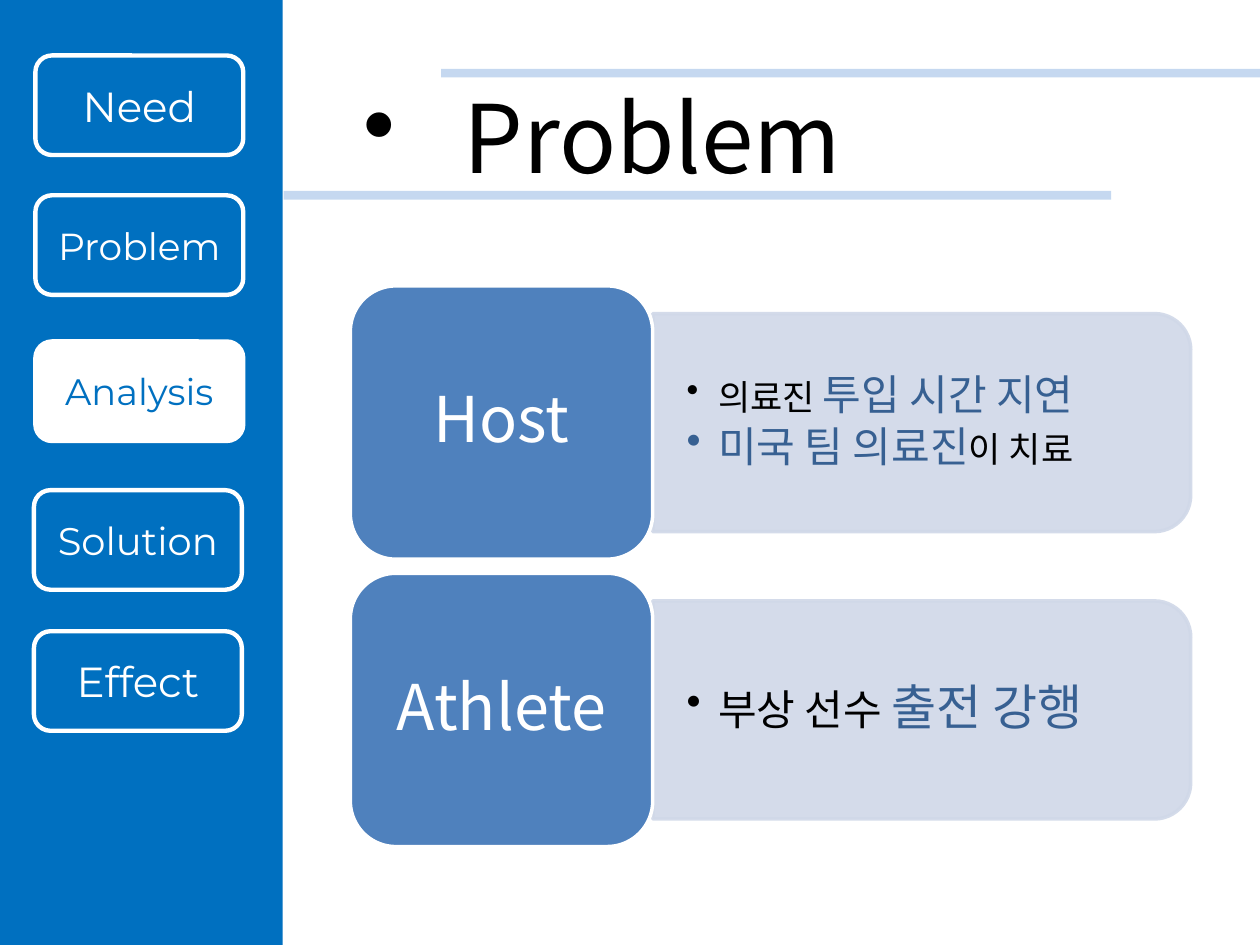
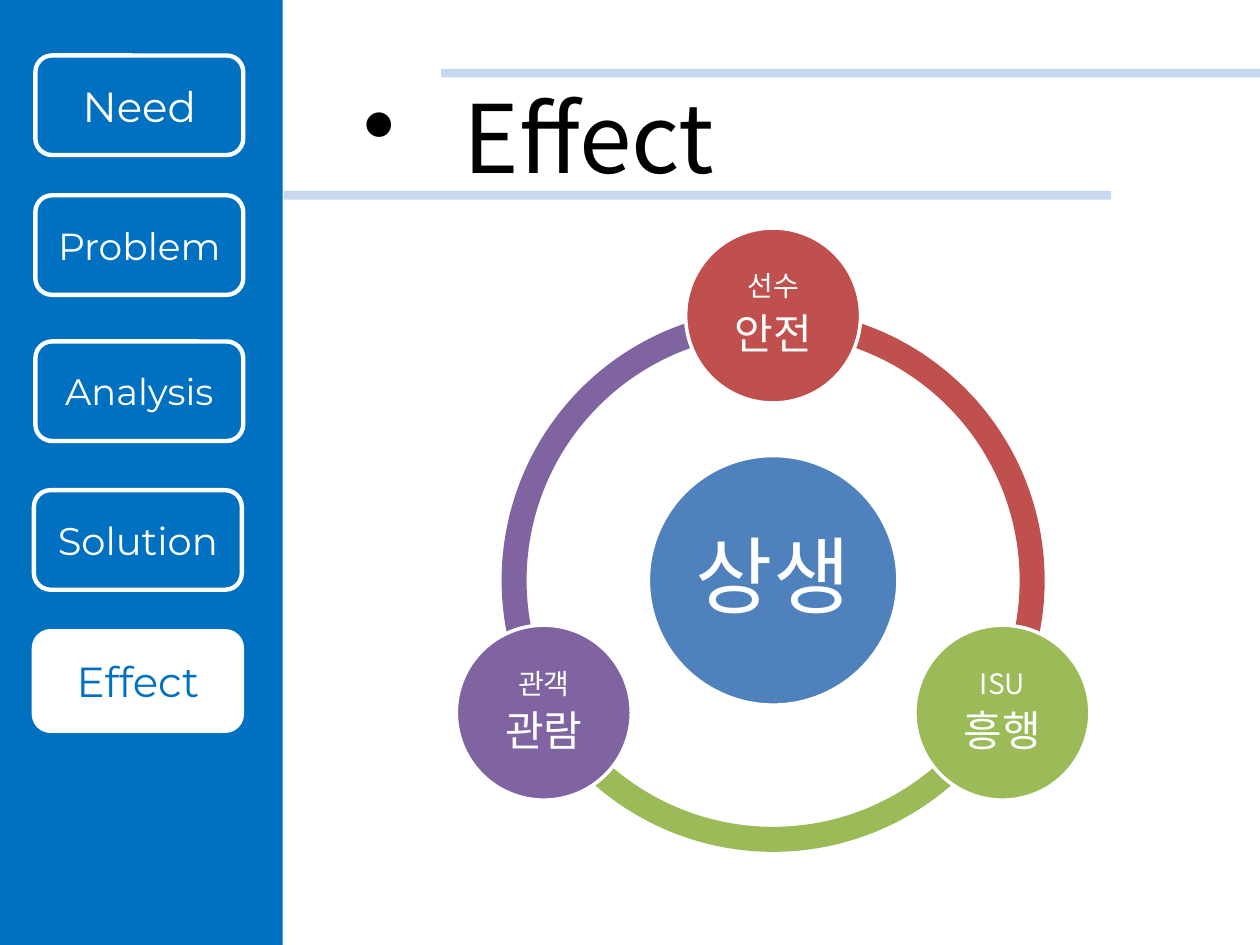
"""Build the Problem and Effect slides with their shared navigation sidebar."""
from math import cos, radians, sin

from lxml.etree import SubElement
from pptx import Presentation
from pptx.dml.color import RGBColor
from pptx.enum.shapes import MSO_CONNECTOR, MSO_SHAPE as Preset
from pptx.enum.text import MSO_ANCHOR as Anchor, PP_ALIGN as Align
from pptx.oxml.ns import qn
from pptx.util import Pt

BLUE, WHITE, BLACK = "0070C0", "FFFFFF", "000000"
RULE, PANEL, STEEL, ACCENT = "8EB4E3", "D0D8E8", "4F81BD", "376092"
LATIN, KOREAN = "Montserrat", "Noto Sans CJK KR"

TABS = [
    ("Need", 24, 20.2, 31.7),
    ("Problem", 21.5, 20.2, 111.6),
    ("Analysis", 21, 20.2, 195.1),
    ("Solution", 22, 19.4, 280.1),
    ("Effect", 24, 19.4, 360.7),
]
RULES = [(162, 635, 111.6), (252, 720, 41.8)]
PROBLEMS = [
    ("Host", [
        [("의료진 ", 20, BLACK), ("투입 시간 지연", 24, ACCENT)],
        [("미국 팀 의료진", 24, ACCENT), ("이 치료", 20, BLACK)],
    ]),
    ("Athlete", [[("부상 선수 ", 24, BLACK), ("출전 강행", 28, ACCENT)]]),
]
HUB = "상생"
PARTIES = [
    ("선수", "안전", "C0504D"),
    ("ISU", "흥행", "9BBB59"),
    ("관객", "관람", "8064A2"),
]


def rgb(code):
    return RGBColor.from_string(code)


def set_alpha(paint, percent):
    color = next(paint.iter(qn("a:srgbClr")))
    SubElement(color, qn("a:alpha"), val=str(percent * 1000))


def write(shape, paragraphs, font=KOREAN, align=Align.CENTER, anchor=Anchor.MIDDLE,
          margins=(7.2, 3.6), spacing=None, after=0, bullet_indent=0):
    frame = shape.text_frame
    frame.word_wrap = True
    frame.vertical_anchor = anchor
    frame.margin_left = frame.margin_right = Pt(margins[0])
    frame.margin_top = frame.margin_bottom = Pt(margins[1])
    for index, pieces in enumerate(paragraphs):
        paragraph = frame.add_paragraph() if index else frame.paragraphs[0]
        paragraph.alignment = align
        if spacing:
            paragraph.line_spacing = spacing
        props = paragraph._p.get_or_add_pPr()
        if after:
            SubElement(SubElement(props, qn("a:spcAft")), qn("a:spcPct"),
                       val=str(after * 1000))
        if bullet_indent:
            props.set("marL", str(Pt(bullet_indent)))
            props.set("indent", str(-Pt(bullet_indent)))
            SubElement(props, qn("a:buChar"), char="•")
        for words, size, color in pieces:
            run = paragraph.add_run()
            run.text = words
            run.font.size = Pt(size)
            run.font.color.rgb = rgb(color)
            run.font.name = font
            SubElement(run._r.get_or_add_rPr(), qn("a:ea"), typeface=font)


def add_preset(slide, preset, left, top, width, height, fill, line=None, weight=2):
    shape = slide.shapes.add_shape(preset, Pt(left), Pt(top), Pt(width), Pt(height))
    shape.shadow.inherit = False
    shape.fill.solid()
    shape.fill.fore_color.rgb = rgb(fill)
    if line:
        shape.line.color.rgb = rgb(line)
        shape.line.width = Pt(weight)
    else:
        shape.line.fill.background()
    return shape


def add_circle(slide, x, y, diameter, fill):
    return add_preset(slide, Preset.OVAL, x - diameter / 2, y - diameter / 2,
                      diameter, diameter, fill, WHITE)


def add_base(deck, title, active):
    slide = deck.slides.add_slide(deck.slide_layouts[6])
    add_preset(slide, Preset.RECTANGLE, 0, 0, 161.5, 540, BLUE)
    heading = slide.shapes.add_textbox(Pt(200.9), Pt(41.8), Pt(482.4), Pt(72.7))
    write(heading, [[(title, 54, BLACK)]], align=Align.LEFT, anchor=Anchor.TOP,
          bullet_indent=57)
    for name, size, left, top in TABS:
        fill, ink = (WHITE, BLUE) if name == active else (BLUE, WHITE)
        tab = add_preset(slide, Preset.ROUNDED_RECTANGLE, left, top, 118.8, 56.9,
                         fill, WHITE, 2.5)
        write(tab, [[(name, size, ink)]], font=LATIN)
    for start, end, y in RULES:
        rule = slide.shapes.add_connector(MSO_CONNECTOR.STRAIGHT, Pt(start), Pt(y),
                                          Pt(end), Pt(y))
        rule.line.color.rgb = rgb(RULE)
        rule.line.width = Pt(5)
        props = rule._element.spPr
        set_alpha(props, 51)
        SubElement(props, qn("a:effectLst"))
    return slide


def add_problems(deck):
    slide = add_base(deck, "Problem", "Analysis")
    left, top, width, height, pitch = 200.2, 163.4, 172.8, 156.2, 164.2
    length, depth = 307.4, 124.6
    for row, (name, points) in enumerate(PROBLEMS):
        tile_top = top + row * pitch
        middle = tile_top + height / 2
        edge = left + width
        panel = add_preset(slide, Preset.ROUND_2_SAME_RECTANGLE,
                           edge + (length - depth) / 2, middle - length / 2,
                           depth, length, PANEL, PANEL)
        panel.rotation = 90
        for paint in panel._element.spPr.iter(qn("a:solidFill")):
            set_alpha(paint, 90)
        details = slide.shapes.add_textbox(Pt(edge), Pt(middle - 56.5), Pt(301), Pt(113))
        write(details, points, align=Align.LEFT, margins=(19.4, 10.1),
              spacing=0.9, after=15, bullet_indent=18)
        tile = add_preset(slide, Preset.ROUNDED_RECTANGLE, left, tile_top, width, height,
                          STEEL, WHITE)
        write(tile, [[(name, 36, WHITE)]], spacing=0.9, after=35)


def add_effects(deck):
    slide = add_base(deck, "Effect", "Effect")
    x, y, orbit, ring = 441.8, 331.6, 151.3, 310.3
    step = 360 / len(PARTIES)
    angles = [(270 + step * index) % 360 for index in range(len(PARTIES))]
    ends = angles[1:] + angles[:1]
    for (_, _, color), start, end in reversed(list(zip(PARTIES, angles, ends))):
        arc = add_preset(slide, Preset.BLOCK_ARC, x - ring / 2, y - ring / 2,
                         ring, ring, color)
        for index, value in enumerate((start * 0.6, end * 0.6, 0.046)):
            arc.adjustments[index] = value
    hub = add_circle(slide, x, y, 142.6, STEEL)
    write(hub, [[(HUB, 48, WHITE)]], margins=(5, 5), spacing=0.9, after=35)
    for (party, gain, color), angle in zip(PARTIES, angles):
        node = add_circle(slide, x + orbit * cos(radians(angle)),
                          y + orbit * sin(radians(angle)), 100, color)
        write(node, [[(party, 16, WHITE)], [(gain, 24, WHITE)]],
              margins=(1.4, 1.4), spacing=0.9, after=35)


def main():
    deck = Presentation()
    deck.slide_width, deck.slide_height = Pt(720), Pt(540)
    add_problems(deck)
    add_effects(deck)
    deck.save("out.pptx")


if __name__ == "__main__":
    main()
